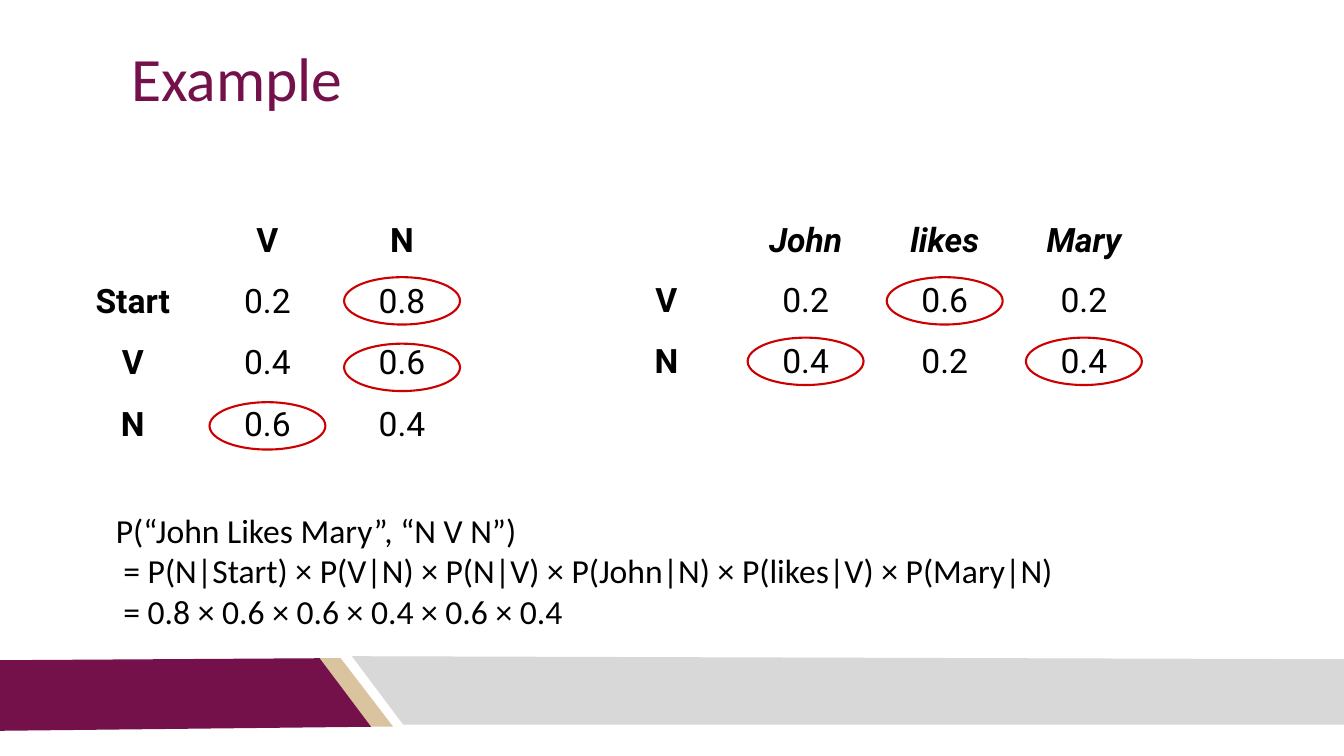
from pptx import Presentation
from pptx.dml.color import RGBColor
from pptx.enum.shapes import MSO_SHAPE
from pptx.enum.text import PP_ALIGN
from pptx.util import Inches, Pt

COLORS = {"plum": "75114A", "sand": "D9C49F", "grey": "D8D8D8",
          "black": "000000", "red": "CC0000"}
WIDTH, HEIGHT = 13.33, 7.5

presentation = Presentation()
presentation.slide_width = Inches(WIDTH)
presentation.slide_height = Inches(HEIGHT)
slide = presentation.slides.add_slide(presentation.slide_layouts[6])


def style_font(font, name, size, color, bold=False, italic=False):
    font.name, font.size = name, Pt(size)
    font.bold, font.italic = bold, italic
    font.color.rgb = RGBColor.from_string(COLORS[color])


def add_text(left, top, width, height, inset, lines, size, color):
    shape = slide.shapes.add_textbox(Inches(left), Inches(top), Inches(width), Inches(height))
    text_frame = shape.text_frame
    text_frame.word_wrap = True
    text_frame.margin_left = text_frame.margin_right = Inches(inset)
    text_frame.margin_top = text_frame.margin_bottom = Inches(inset)
    text_frame.text = "\n".join(lines)
    for paragraph in text_frame.paragraphs:
        style_font(paragraph.runs[0].font, "Calibri", size, color)
    return text_frame


# Footer bands
bands = [
    ("sand", [(3.16, 6.53), (3.38, 6.53), (3.9, 7.21), (3.67, 7.21)]),
    ("plum", [(0, 6.55), (3.17, 6.53), (3.68, 7.21), (0, 7.25)]),
    ("grey", [(3.49, 6.51), (WIDTH, 6.54), (WIDTH, 7.19), (4, 7.19)]),
]
for color, corners in bands:
    points = [(Inches(x), Inches(y)) for x, y in corners]
    builder = slide.shapes.build_freeform(*points[0])
    builder.add_line_segments(points[1:], close=True)
    shape = builder.convert_to_shape()
    shape.shadow.inherit = False
    shape.fill.solid()
    shape.fill.fore_color.rgb = RGBColor.from_string(COLORS[color])
    shape.line.fill.background()

# Title
title = add_text(1.22, 0.4, WIDTH - 1.22, 1.45, 0.08, ["Example"], 44, "plum")
title.paragraphs[0].line_spacing = 0.9

# Probability tables: left edge, column width, row height, italic header,
# values, and the ringed cells as (row, column, ring top)
TABLE_TOP = 2.09
tables = [
    (0.65, 1.335, 0.61, False,
     [["", "V", "N"],
      ["Start", "0.2", "0.8"],
      ["V", "0.4", "0.6"],
      ["N", "0.6", "0.4"]],
     [(1, 2, 2.75), (3, 1, 3.99), (2, 2, 3.41)]),
    (5.92, 1.38, 0.51, True,
     [["", "John", "likes", "Mary"],
      ["V", "0.2", "0.6", "0.2"],
      ["N", "0.4", "0.2", "0.4"]],
     [(2, 1, 3.35), (1, 2, 2.75), (2, 3, 3.35)]),
]
for left, column_width, row_height, italic_header, values, _ in tables:
    rows, columns = len(values), len(values[0])
    table = slide.shapes.add_table(
        rows, columns, Inches(left), Inches(TABLE_TOP),
        Inches(column_width * columns), Inches(row_height * rows)).table
    table.first_row = table.horz_banding = False
    for row, row_values in enumerate(values):
        for column, value in enumerate(row_values):
            cell = table.cell(row, column)
            cell.fill.background()
            cell.margin_left = cell.margin_right = Inches(0.07)
            cell.margin_top = cell.margin_bottom = Inches(0.1)
            cell.text_frame.text = value
            paragraph = cell.text_frame.paragraphs[0]
            paragraph.alignment = PP_ALIGN.CENTER
            for run in paragraph.runs:
                style_font(run.font, "Roboto", 24, "black",
                           bold=row == 0 or column == 0,
                           italic=italic_header and row == 0)

# Worked product
add_text(1.05, 4.96, 11.16, 1.41, 0.1, [
    "P(“John Likes Mary”, “N V N”)",
    " = P(N|Start) × P(V|N) × P(N|V) × P(John|N) × P(likes|V) × P(Mary|N)",
    " = 0.8 × 0.6 × 0.6 × 0.4 × 0.6 × 0.4",
], 24, "black")

# Rings, centred on the columns of the chosen cells
RING_WIDTH, RING_HEIGHT = 1.15, 0.47
for left, column_width, _, _, _, rings in tables:
    for _, column, ring_top in rings:
        center = left + column_width * (column + 0.5)
        shape = slide.shapes.add_shape(
            MSO_SHAPE.OVAL, Inches(center - RING_WIDTH / 2), Inches(ring_top),
            Inches(RING_WIDTH), Inches(RING_HEIGHT))
        shape.shadow.inherit = False
        shape.fill.background()
        shape.line.color.rgb = RGBColor.from_string(COLORS["red"])
        shape.line.width = Pt(1.5)

presentation.save("out.pptx")
